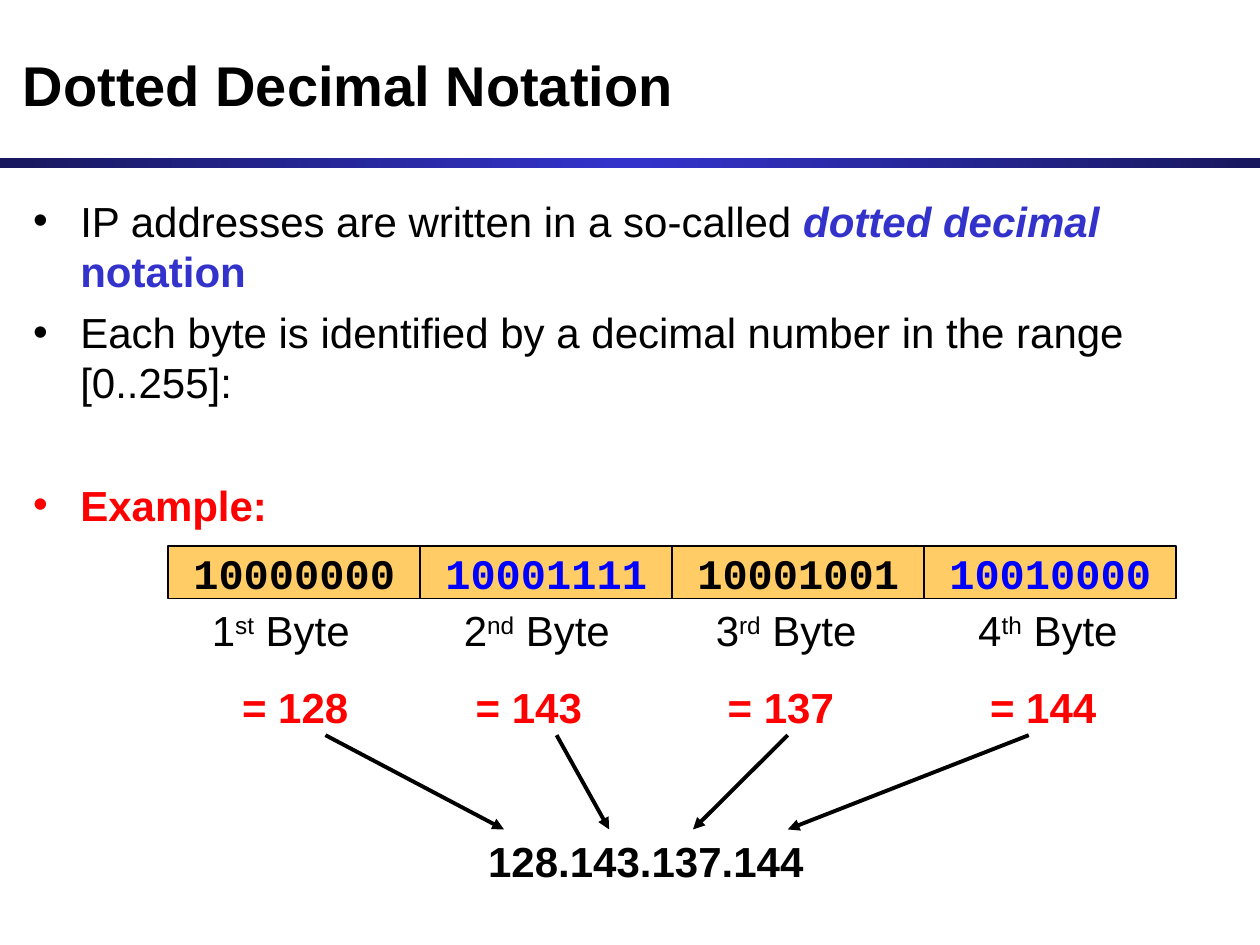
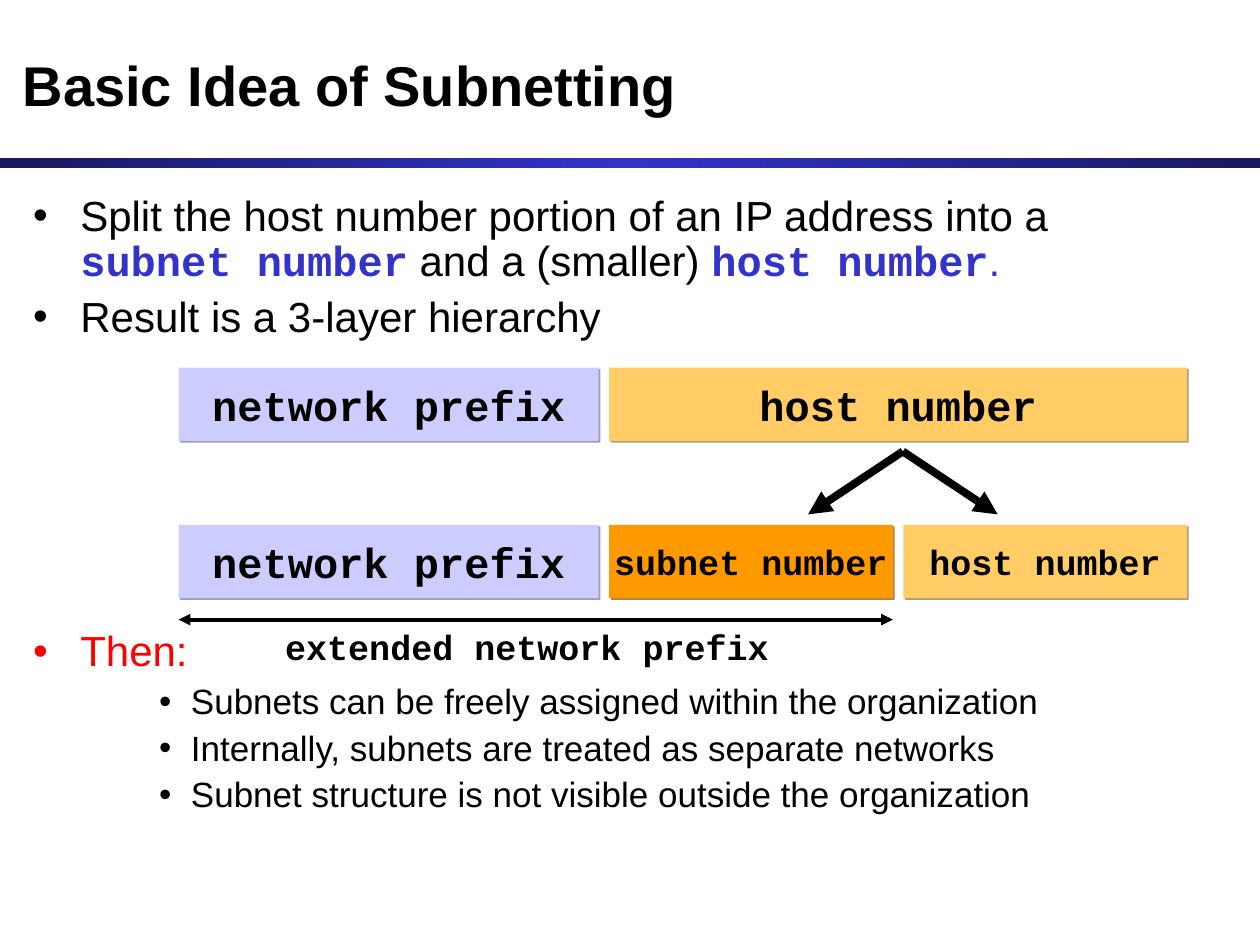
from dataclasses import dataclass
from typing import Optional

from lxml.etree import SubElement
from pptx import Presentation
from pptx.dml.color import RGBColor
from pptx.enum.shapes import MSO_CONNECTOR, MSO_SHAPE
from pptx.enum.text import MSO_ANCHOR, PP_ALIGN
from pptx.oxml.ns import qn
from pptx.util import Cm, Pt

# Shared look
SANS, MONO = "Arial", "Courier New"
BLACK, RED, BLUE = "000000", "FF0000", "0000FF"
ACCENT, ACCENT_DARK = "3333CC", "18185E"
LAVENDER, SAND, ORANGE = "CCCCFF", "FFCC66", "FF9900"
SLIDE_WIDTH, SLIDE_HEIGHT = 25.4, 19.05


@dataclass(frozen=True)
class Span:
    """A stretch of text; None means as in the paragraph."""
    text: str
    color: Optional[str] = None
    font: Optional[str] = None
    bold: Optional[bool] = None
    italic: Optional[bool] = None
    superscript: bool = False


@dataclass(frozen=True)
class Line:
    """A paragraph; lengths in cm, sizes and spacing in points."""
    spans: tuple[Span, ...]
    size: float = 24
    font: str = SANS
    color: str = BLACK
    bold: bool = False
    align: PP_ALIGN = PP_ALIGN.LEFT
    before: float = 0
    spacing: Optional[float] = None
    margin: float = 0
    hanging: float = 0  # a hanging indent carries a bullet


@dataclass(frozen=True)
class Box:
    """A place on the slide in cm."""
    left: float
    top: float
    width: float
    height: float

    def lengths(self) -> tuple[Cm, Cm, Cm, Cm]:
        return Cm(self.left), Cm(self.top), Cm(self.width), Cm(self.height)


@dataclass(frozen=True)
class Byte:
    bits: str
    bits_color: str
    ordinal: str
    suffix: str
    value: int
    label_left: float
    value_indent: float
    arrow_start: float
    arrow_end: float


@dataclass(frozen=True)
class Field:
    text: str
    color: str
    width: float
    size: float = 24


def rgb(color: str) -> RGBColor:
    return RGBColor.from_string(color)


def shaded(color: str, share: float = 0.6) -> str:
    return "".join(f"{round(channel * share):02X}" for channel in rgb(color))


def plain(text: str, **style) -> Line:
    return Line((Span(text),), **style)


def bullet(*spans: Span, **style) -> Line:
    return Line(spans, **{"margin": 0.95, "hanging": 0.95, **style})


def write(frame, lines: list[Line]) -> None:
    for number, line in enumerate(lines):
        paragraph = frame.paragraphs[0] if number == 0 else frame.add_paragraph()
        paragraph.alignment = line.align
        if line.before:
            paragraph.space_before = Pt(line.before)
        if line.spacing:
            paragraph.line_spacing = line.spacing
        properties = paragraph._p.get_or_add_pPr()
        properties.set("marL", str(Cm(line.margin)))
        properties.set("indent", str(Cm(-line.hanging)))
        if line.hanging:
            bullet_color = SubElement(properties, qn("a:buClr"))
            SubElement(bullet_color, qn("a:srgbClr"), val=line.color)
            SubElement(properties, qn("a:buFont"), typeface=SANS)
            SubElement(properties, qn("a:buChar"), char="•")
        paragraph.font.size = Pt(line.size)
        paragraph.font.name = line.font
        paragraph.font.bold = line.bold
        paragraph.font.color.rgb = rgb(line.color)
        for span in line.spans:
            if span.text == "\n":
                paragraph.add_line_break()
                continue
            run = paragraph.add_run()
            run.text = span.text
            if span.font:
                run.font.name = span.font
            if span.bold is not None:
                run.font.bold = span.bold
            if span.italic is not None:
                run.font.italic = span.italic
            if span.color:
                run.font.color.rgb = rgb(span.color)
            if span.superscript:
                run._r.get_or_add_rPr().set("baseline", "30000")


def add_text(slide, box: Box, lines: list[Line],
             anchor: MSO_ANCHOR = MSO_ANCHOR.TOP) -> None:
    frame = slide.shapes.add_textbox(*box.lengths()).text_frame
    frame.word_wrap = True
    frame.vertical_anchor = anchor
    write(frame, lines)


def add_field(slide, box: Box, color: str, label: Line, outlined: bool) -> None:
    """Filled box with a label, either outlined or with a small shadow."""
    field = slide.shapes.add_shape(MSO_SHAPE.RECTANGLE, *box.lengths())
    field.fill.solid()
    field.fill.fore_color.rgb = rgb(color)
    field.shadow.inherit = False
    if outlined:
        field.line.color.rgb = rgb(BLACK)
        field.line.width = Pt(0.75)
    else:
        field.line.fill.background()
        effects = field._element.spPr.find(qn("a:effectLst"))
        shadow = SubElement(effects, qn("a:outerShdw"), dist=str(Pt(1.4)),
                            dir="2700000", algn="ctr", rotWithShape="0")
        shade = SubElement(shadow, qn("a:srgbClr"), val=shaded(color))
        SubElement(shade, qn("a:alpha"), val="75000")
    field.text_frame.word_wrap = False
    field.text_frame.vertical_anchor = MSO_ANCHOR.MIDDLE
    write(field.text_frame, [label])


def add_arrow(slide, start: tuple[float, float], end: tuple[float, float],
              width: float = 2.25, both_ends: bool = False) -> None:
    arrow = slide.shapes.add_connector(
        MSO_CONNECTOR.STRAIGHT, *(Cm(value) for value in start + end))
    arrow.line.color.rgb = rgb(BLACK)
    arrow.line.width = Pt(width)
    outline = arrow.line._get_or_add_ln()
    if both_ends:
        SubElement(outline, qn("a:headEnd"), type="triangle")
    SubElement(outline, qn("a:tailEnd"), type="triangle")
    SubElement(arrow._element.spPr, qn("a:effectLst"))


def add_slide(deck, title: str, body: list[Line]):
    """Slide with the title, the gradient band and the bullet text."""
    slide = deck.slides.add_slide(deck.slide_layouts[6])
    band = slide.shapes.add_shape(
        MSO_SHAPE.RECTANGLE, *Box(0, 3.18, SLIDE_WIDTH, 0.21).lengths())
    band.shadow.inherit = False
    band.line.fill.background()
    band.fill.gradient()
    band.fill.gradient_angle = 0
    stops = band._element.spPr.find(qn("a:gradFill")).find(qn("a:gsLst"))
    stops.clear()
    for percent, color in ((0, ACCENT_DARK), (50, ACCENT), (100, ACCENT_DARK)):
        stop = SubElement(stops, qn("a:gs"), pos=str(percent * 1000))
        SubElement(stop, qn("a:srgbClr"), val=color)
    add_text(slide, Box(0.21, 0.42, 24.97, 2.54),
             [plain(title, size=32, bold=True)], MSO_ANCHOR.MIDDLE)
    add_text(slide, Box(0.42, 3.81, 24.77, 13.55), body)
    return slide


def add_dotted_decimal(deck) -> None:
    slide = add_slide(deck, "Dotted Decimal Notation", [
        bullet(Span("IP addresses are written in a so-called "),
               Span("dotted decimal ", ACCENT, bold=True, italic=True),
               Span("notation", ACCENT, bold=True)),
        bullet(Span("Each byte is identified by a decimal number "
                    "in the range [0..255]:"), before=6),
        bullet(Span("Example:"), color=RED, bold=True, before=41),
    ])
    address = [
        Byte("10000000", BLACK, "1", "st", 128, 4.02, 0.61, 6.56, 10.16),
        Byte("10001111", BLUE, "2", "nd", 143, 9.1, 0.24, 11.22, 12.28),
        Byte("10001001", BLACK, "3", "rd", 137, 14.18, 0.24, 15.88, 13.97),
        Byte("10010000", BLUE, "4", "th", 144, 19.47, 0.24, 20.74, 15.88),
    ]
    cell_width = 5.08
    for column, byte in enumerate(address):
        add_field(slide, Box(3.39 + column * cell_width, 11.01, cell_width, 1.06),
                  SAND, plain(byte.bits, font=MONO, color=byte.bits_color,
                              bold=True, align=PP_ALIGN.CENTER), outlined=True)
        add_text(slide, Box(byte.label_left, 12.07, 3.6, 2.82), [
            Line((Span(byte.ordinal), Span(byte.suffix, superscript=True),
                  Span(" Byte"))),
            plain(f"= {byte.value}", color=RED, bold=True, before=15,
                  margin=byte.value_indent),
        ])
        add_arrow(slide, (byte.arrow_start, 14.82), (byte.arrow_end, 16.72))
    add_text(slide, Box(8.47, 16.72, 9.1, 1.27),
             [plain(".".join(str(byte.value) for byte in address), bold=True,
                    align=PP_ALIGN.CENTER)])


def add_subnetting(deck) -> None:
    tight = {"spacing": 0.9}
    term = {"color": ACCENT, "font": MONO, "bold": True}
    consequences = [
        "Subnets can be freely assigned within the organization",
        "Internally, subnets are treated as separate networks",
        "Subnet structure is not visible outside the organization",
    ]
    slide = add_slide(deck, "Basic Idea of Subnetting", [
        bullet(Span("Split the host number portion of an IP address into a"),
               Span("\n"), Span("subnet number", **term),
               Span(" and a (smaller) "), Span("host number", **term),
               Span(".", ACCENT), **tight),
        bullet(Span("Result is a 3-layer hierarchy"), before=6, **tight),
        bullet(Span("Then:"), color=RED, before=165, **tight),
        *(bullet(Span(text), size=20, before=5, margin=3.18, hanging=0.64, **tight)
          for text in consequences),
    ])

    # Address layers before and after the split
    left, gap, part = 3.6, 0.21, 5.72
    prefix = Field("network prefix", LAVENDER, 8.47)
    layers = {
        7.41: [prefix, Field("host number", SAND, 2 * part + gap)],
        10.58: [prefix, Field("subnet number", ORANGE, part, 20),
                Field("host number", SAND, part, 20)],
    }
    for top, fields in layers.items():
        x = left
        for field in fields:
            add_field(slide, Box(x, top, field.width, 1.48), field.color,
                      plain(field.text, size=field.size, font=MONO, bold=True,
                            align=PP_ALIGN.CENTER), outlined=False)
            x += field.width + gap

    # Split of the host number
    split = 18.2
    for side in (-1, 1):
        add_arrow(slide, (split, 9.1), (split + side * 1.91, 10.37), 4.5)

    # Extent of the extended prefix
    extent_top = 12.49
    add_arrow(slide, (left, extent_top),
              (left + prefix.width + gap + part, extent_top), both_ends=True)
    add_text(slide, Box(5.5, extent_top, 10.37, 1.11),
             [plain("extended network prefix", size=20, font=MONO, bold=True)])


def main() -> None:
    deck = Presentation()
    deck.slide_width, deck.slide_height = Cm(SLIDE_WIDTH), Cm(SLIDE_HEIGHT)
    add_dotted_decimal(deck)
    add_subnetting(deck)
    deck.save("out.pptx")


if __name__ == "__main__":
    main()
